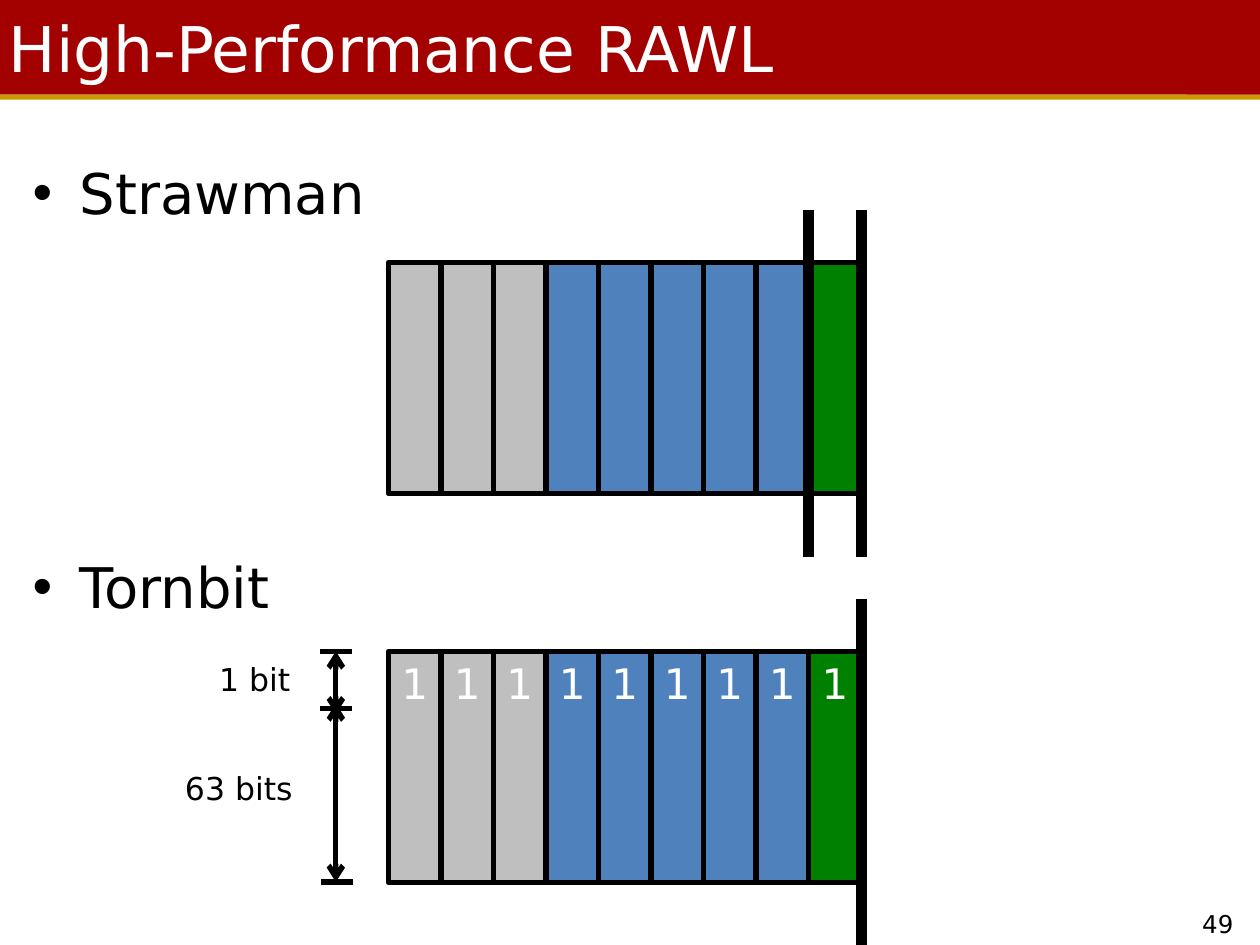
from typing import NamedTuple

from lxml.etree import SubElement
from pptx import Presentation
from pptx.dml.color import RGBColor
from pptx.enum.shapes import MSO_CONNECTOR, MSO_SHAPE
from pptx.enum.text import MSO_ANCHOR, MSO_AUTO_SIZE, PP_ALIGN
from pptx.oxml.ns import qn
from pptx.util import Cm, Pt

FONT = "DejaVu Sans"
COLORS = {
    "red": "A30000", "gold": "CC9900", "white": "FFFFFF", "black": "000000",
    "gray": "BFBFBF", "blue": "4F81BD", "green": "008000",
}
CELL_COLORS = ["gray"] * 3 + ["blue"] * 5 + ["green"]
LOG_LEFT, LOG_WIDTH, LOG_HEIGHT = 7.83, 9.53, 4.66
CELL_WIDTH = LOG_WIDTH / len(CELL_COLORS)
FENCE_OVERHANG, FENCE_LENGTH = 1.06, 6.99


class Log(NamedTuple):
    top: float
    bit: str
    fences: tuple[int, ...]  # cell boundaries marked by a heavy line


class Label(NamedTuple):
    text: str
    left: float
    top: float
    width: float
    height: float
    size: int
    align: PP_ALIGN


class Line(NamedTuple):
    x1: float
    y1: float
    x2: float
    y2: float
    weight: float = 3
    arrows: bool = False


LOGS = [Log(5.29, "", (8, 9)), Log(13.13, "1", (9,))]
LABELS = [
    Label("1 bit", 4.17, 13.18, 1.98, 1.02, 18, PP_ALIGN.LEFT),
    Label("63 bits", 3.48, 15.37, 2.72, 1.02, 18, PP_ALIGN.LEFT),
    Label("49", 23.72, 18.2, 1.66, 0.84, 14, PP_ALIGN.CENTER),
]
MEASURES = [
    Line(6.77, 14.18, 6.77, 17.78, arrows=True),
    Line(6.77, 13.13, 6.77, 14.4, arrows=True),
    Line(6.45, 13.13, 7.09, 13.13),
    Line(6.45, 14.28, 7.09, 14.28),
    Line(6.48, 17.78, 7.11, 17.78),
]


def rgb(name: str) -> RGBColor:
    return RGBColor.from_string(COLORS[name])


def place(shape, left: float, top: float, width: float, height: float) -> None:
    shape.left, shape.top = Cm(left), Cm(top)
    shape.width, shape.height = Cm(width), Cm(height)


def add_span(para, text: str, size: int, color: str) -> None:
    span = para.add_run()
    span.text = text
    span.font.name = FONT
    span.font.size = Pt(size)
    span.font.color.rgb = rgb(color)


def add_box(page, left: float, top: float, width: float, height: float, fill: str):
    box = page.shapes.add_shape(
        MSO_SHAPE.RECTANGLE, Cm(left), Cm(top), Cm(width), Cm(height))
    box.shadow.inherit = False
    box.fill.solid()
    box.fill.fore_color.rgb = rgb(fill)
    box.line.fill.background()
    return box


def add_line(shapes, line: Line) -> None:
    connector = shapes.add_connector(
        MSO_CONNECTOR.STRAIGHT, Cm(line.x1), Cm(line.y1), Cm(line.x2), Cm(line.y2))
    connector.line.color.rgb = rgb("black")
    connector.line.width = Pt(line.weight)
    if line.arrows:
        for end in ("a:headEnd", "a:tailEnd"):
            SubElement(connector.line._get_or_add_ln(), qn(end), type="arrow")
    SubElement(connector._element.spPr, qn("a:effectLst"))


def add_label(page, label: Label) -> None:
    box = page.shapes.add_textbox(
        Cm(label.left), Cm(label.top), Cm(label.width), Cm(label.height))
    box.text_frame.word_wrap = False
    para = box.text_frame.paragraphs[0]
    para.alignment = label.align
    add_span(para, label.text, label.size, "black")


def add_log(page, log: Log) -> None:
    for index, color in enumerate(CELL_COLORS):
        cell = add_box(page, LOG_LEFT + index * CELL_WIDTH, log.top,
                       CELL_WIDTH, LOG_HEIGHT, color)
        cell.line.color.rgb = rgb("black")
        cell.line.width = Pt(3)
        if log.bit:
            cell.text_frame.vertical_anchor = MSO_ANCHOR.TOP
            cell.text_frame.margin_left = cell.text_frame.margin_right = 0
            para = cell.text_frame.paragraphs[0]
            para.alignment = PP_ALIGN.CENTER
            add_span(para, log.bit, 24, "white")
    for boundary in log.fences:
        x = LOG_LEFT + boundary * CELL_WIDTH
        top = log.top - FENCE_OVERHANG
        add_line(page.shapes, Line(x, top, x, top + FENCE_LENGTH, 6.25))


def fill_title(title, text: str) -> None:
    place(title, 0, 0, 23.93, 1.91)
    title.fill.solid()
    title.fill.fore_color.rgb = rgb("red")
    frame = title.text_frame
    frame.auto_size = MSO_AUTO_SIZE.NONE
    frame.vertical_anchor = MSO_ANCHOR.MIDDLE
    frame.margin_left = Cm(0.18)
    para = frame.paragraphs[0]
    para.alignment = PP_ALIGN.LEFT
    add_span(para, text, 36, "white")


def fill_body(body, items: list[str], gap: float) -> None:
    place(body, 0.43, 3.07, 24.33, 15.04)
    frame = body.text_frame
    frame.auto_size = MSO_AUTO_SIZE.NONE
    frame.margin_left = Cm(0.23)
    for index, item in enumerate(items):
        para = frame.add_paragraph() if index else frame.paragraphs[0]
        para.space_before = Pt(gap if index else 0)
        properties = para._p.get_or_add_pPr()
        properties.set("marL", str(Cm(0.95)))
        properties.set("indent", str(Cm(-0.95)))
        SubElement(properties, qn("a:buChar"), char="•")
        add_span(para, item, 32, "black")


def main() -> None:
    deck = Presentation()
    deck.slide_width, deck.slide_height = Cm(25.4), Cm(19.05)
    page = deck.slides.add_slide(deck.slide_layouts[1])

    # Header band and bullets
    add_box(page, 0, 1.91, 25.4, 0.1, "gold")
    add_box(page, 23.93, 0, 1.47, 1.91, "red")
    fill_title(page.shapes.title, "High-Performance RAWL")
    fill_body(page.placeholders[1], ["Strawman", "Tornbit"], 186.5)

    # Log diagrams
    for log in LOGS:
        add_log(page, log)

    # Bit measures, labels and page number
    measure = page.shapes.add_group_shape()
    for line in MEASURES:
        add_line(measure.shapes, line)
    for label in LABELS:
        add_label(page, label)

    deck.save("out.pptx")


if __name__ == "__main__":
    main()
